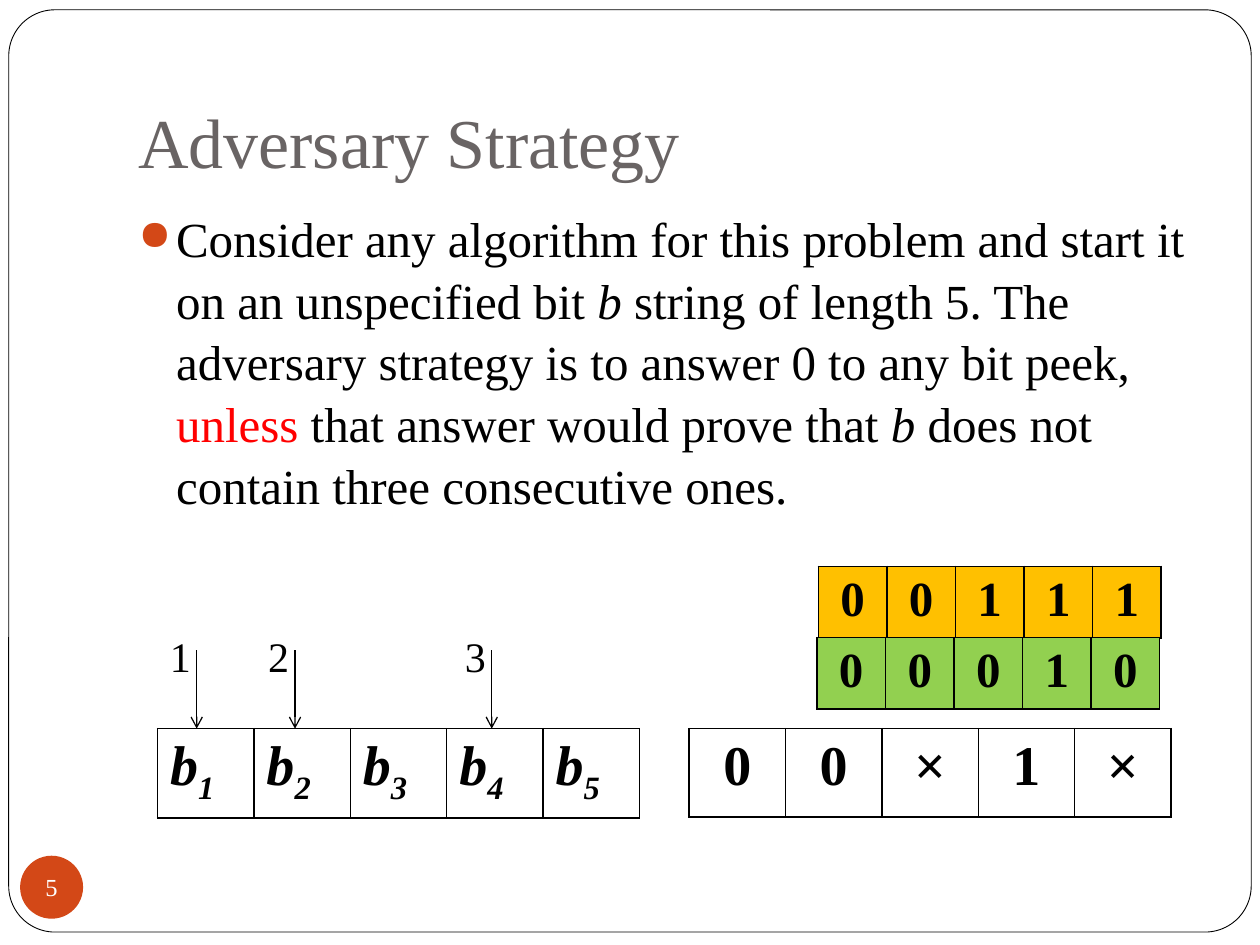
import pptx
import pptx.util
import pptx.dml.color
import pptx.enum.shapes
import pptx.enum.text
import pptx.oxml
import pptx.oxml.ns

Pt = pptx.util.Pt
RGBColor = pptx.dml.color.RGBColor
MSO_SHAPE = pptx.enum.shapes.MSO_SHAPE
PP_ALIGN = pptx.enum.text.PP_ALIGN
MSO_ANCHOR = pptx.enum.text.MSO_ANCHOR

BLACK = RGBColor(0x00, 0x00, 0x00)
WHITE = RGBColor(0xFF, 0xFF, 0xFF)
GRAY = RGBColor(0x69, 0x64, 0x64)
RUST = RGBColor(0xD3, 0x48, 0x17)
RED = RGBColor(0xFF, 0x00, 0x00)
AMBER = RGBColor(0xFF, 0xC0, 0x00)
GREEN = RGBColor(0x92, 0xD0, 0x50)

NO_STYLE_TABLE = "{2D5ABB26-0587-4C30-8999-92F81FD0307C}"


def add_xml(parent, markup):
    """Append an element of the drawing namespace to parent."""
    tag, _, rest = markup.partition(" ")
    declared = f"<a:{tag} {pptx.oxml.ns.nsdecls('a')} {rest}"
    parent.append(pptx.oxml.parse_xml(declared))


class SlideBuilder:
    font = "Times New Roman"

    def __init__(self, slide):
        self.slide = slide

    def runs(self, paragraph, parts, size, color=BLACK, bold=False):
        """Add (text, options) parts; options are italic, color and baseline."""
        for text, options in parts:
            run = paragraph.add_run()
            run.text = text
            run.font.name = self.font
            run.font.size = Pt(size)
            run.font.bold = bold
            run.font.italic = options.get("italic", False)
            run.font.color.rgb = options.get("color", color)
            if "baseline" in options:
                run.font._element.set("baseline", str(options["baseline"]))

    def shape(self, kind, left, top, width, height, fill, line=None):
        shape = self.slide.shapes.add_shape(
            kind, Pt(left), Pt(top), Pt(width), Pt(height))
        shape.shadow.inherit = False
        shape.fill.solid()
        shape.fill.fore_color.rgb = fill
        if line is None:
            shape.line.fill.background()
        else:
            shape.line.color.rgb = line
            shape.line.width = Pt(0.5)
        return shape

    def badge(self, text, left, top, diameter):
        badge = self.shape(MSO_SHAPE.OVAL, left, top, diameter, diameter, RUST)
        frame = badge.text_frame
        frame.margin_left = frame.margin_right = 0
        frame.margin_top = frame.margin_bottom = 0
        frame.word_wrap = False
        frame.vertical_anchor = MSO_ANCHOR.MIDDLE
        frame.paragraphs[0].alignment = PP_ALIGN.CENTER
        self.runs(frame.paragraphs[0], [(text, {})], 14, WHITE)

    def text(self, parts, left, top, width, height, size, color=BLACK):
        box = self.slide.shapes.add_textbox(
            Pt(left), Pt(top), Pt(width), Pt(height))
        box.text_frame.word_wrap = True
        self.runs(box.text_frame.paragraphs[0], parts, size, color)
        return box.text_frame

    def bullet(self, paragraph, indent):
        properties = paragraph._p.get_or_add_pPr()
        properties.set("marL", str(Pt(indent)))
        properties.set("indent", str(-Pt(indent)))
        add_xml(properties, f'buClr ><a:srgbClr val="{RUST}"/></a:buClr>')
        add_xml(properties, 'buSzPct val="85000"/>')
        add_xml(properties, 'buChar char="●"/>')

    def arrow(self, x, top, bottom):
        arrow = self.slide.shapes.add_connector(
            pptx.enum.shapes.MSO_CONNECTOR.STRAIGHT,
            Pt(x), Pt(top), Pt(x), Pt(bottom))
        arrow.line.color.rgb = BLACK
        arrow.line.width = Pt(0.75)
        add_xml(arrow.line._get_or_add_ln(), 'tailEnd type="arrow"/>')
        add_xml(arrow._element.spPr, "effectLst />")

    def bit_row(self, cells, left, top, column, height, size,
                fill=None, align=PP_ALIGN.CENTER):
        """Draw a one-row table; each cell is a list of text parts."""
        table = self.slide.shapes.add_table(
            1, len(cells), Pt(left), Pt(top),
            Pt(column * len(cells)), Pt(height)).table
        table.first_row = table.horz_banding = False
        table._tbl.tblPr.find(
            pptx.oxml.ns.qn("a:tableStyleId")).text = NO_STYLE_TABLE
        table.rows[0].height = Pt(height)
        for index, parts in enumerate(cells):
            table.columns[index].width = Pt(column)
            cell = table.cell(0, index)
            for side in "LRTB":
                add_xml(cell._tc.get_or_add_tcPr(),
                        f'ln{side} w="{Pt(1)}"><a:solidFill>'
                        f'<a:srgbClr val="{BLACK}"/></a:solidFill></a:ln{side}>')
            if fill is None:
                cell.fill.background()
            else:
                cell.fill.solid()
                cell.fill.fore_color.rgb = fill
            paragraph = cell.text_frame.paragraphs[0]
            paragraph.alignment = align
            self.runs(paragraph, parts, size, bold=True)


def main():
    deck = pptx.Presentation()
    deck.slide_width, deck.slide_height = Pt(720), Pt(540)
    builder = SlideBuilder(deck.slides.add_slide(deck.slide_layouts[6]))

    border = builder.shape(MSO_SHAPE.ROUNDED_RECTANGLE,
                           5, 5.6, 710, 527, WHITE, BLACK)
    border.adjustments[0] = 0.05

    title = builder.text([("Adversary Strategy", {})],
                         72, 21.6, 612, 90, 40, GRAY)
    title.vertical_anchor = MSO_ANCHOR.BOTTOM
    title.margin_bottom = Pt(7.2)

    builder.badge("5", 11.5, 489, 36)

    italic = {"italic": True}
    strategy = builder.text([
        ("Consider any algorithm for this problem and start it on an "
         "unspecified bit ", {}),
        ("b ", italic),
        ("string of length 5. The adversary strategy is to answer 0 to any "
         "bit peek, ", {}),
        ("unless", {"color": RED}),
        (" that answer would prove that ", {}),
        ("b ", italic),
        ("does not contain three consecutive ones.", {}),
    ], 72, 113.8, 612, 360, 28).paragraphs[0]
    strategy.space_before = Pt(5.8)
    strategy.line_spacing = 1.05
    builder.bullet(strategy, 21.6)

    row_top, bit_width, row_height = 416.4, 55.1, 50.4
    bits = [[("b", italic), (str(number), {"italic": True, "baseline": -25000})]
            for number in range(1, 6)]
    builder.bit_row(bits, 90, row_top, bit_width, row_height, 32,
                    align=PP_ALIGN.LEFT)

    peek_step = 56.2
    for order, position in enumerate((0, 1, 3), start=1):
        offset = position * peek_step
        builder.arrow(112.4 + offset, 371.5, row_top)
        builder.text([(str(order), {})], 90 + offset, 357, 28, 36.5, 24)

    answers = [("00×1×", 393.8, row_top, bit_width, row_height, 32, None),
               ("00111", 467.6, 323.6, 39.2, 40.8, 28, AMBER),
               ("00010", 466.8, 364.4, 39.2, 40.8, 28, GREEN)]
    for values, *layout in answers:
        builder.bit_row([[(value, {})] for value in values], *layout)

    deck.save("out.pptx")


if __name__ == "__main__":
    main()
